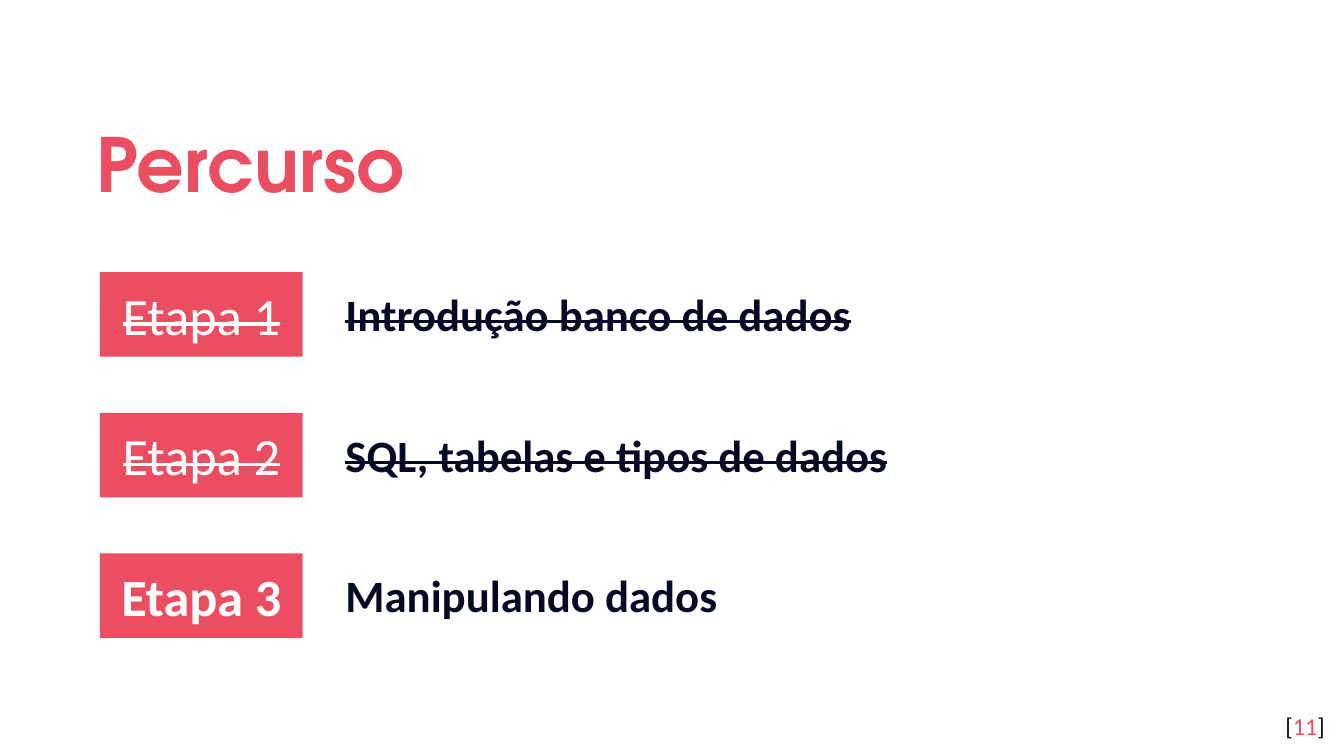
from pptx import Presentation
from pptx.dml.color import RGBColor
from pptx.enum import shapes, text
from pptx.util import Pt

CORAL = RGBColor(0xEA, 0x4E, 0x60)
NAVY = RGBColor(0x04, 0x0A, 0x24)
WHITE = RGBColor(0xFF, 0xFF, 0xFF)

STAGES = [
    ("Etapa 1", "Introdução banco de dados", True, 486),
    ("Etapa 2", "SQL, tabelas e tipos de dados", True, 511),
    ("Etapa 3", "Manipulando dados", False, 486),
]


def set_all(target, values):
    for name, value in values.items():
        setattr(target, name, value)


def set_frame(frame, vertical=7.2, anchor=text.MSO_ANCHOR.TOP):
    set_all(frame, {
        "word_wrap": True, "auto_size": text.MSO_AUTO_SIZE.NONE,
        "vertical_anchor": anchor,
        "margin_left": Pt(7.2), "margin_right": Pt(7.2),
        "margin_top": Pt(vertical), "margin_bottom": Pt(vertical),
    })


def add_words(paragraph, words, color, struck=False, **values):
    run = paragraph.add_run()
    run.text = words
    run.font.color.rgb = color
    set_all(run.font, values)
    if struck:
        run._r.get_or_add_rPr().set("strike", "sngStrike")


def place_heading(slide, left, top, width, height):
    heading = slide.shapes.title
    set_all(heading, {"left": Pt(left), "top": Pt(top),
                      "width": Pt(width), "height": Pt(height)})
    set_frame(heading.text_frame, anchor=text.MSO_ANCHOR.MIDDLE)
    line = heading.text_frame.paragraphs[0]
    set_all(line, {"alignment": text.PP_ALIGN.LEFT, "line_spacing": 1.15})
    add_words(line, "Percurso", CORAL, name="TeX Gyre Adventor",
              size=Pt(40), bold=True)


def place_tag(slide, left, top, width, height, stage, done):
    tag = slide.shapes.add_shape(shapes.MSO_SHAPE.RECTANGLE, Pt(left), Pt(top),
                                 Pt(width), Pt(height))
    tag.shadow.inherit = False
    tag.fill.solid()
    tag.fill.fore_color.rgb = CORAL
    tag.line.fill.background()
    set_frame(tag.text_frame, anchor=text.MSO_ANCHOR.MIDDLE)
    line = tag.text_frame.paragraphs[0]
    line.alignment = text.PP_ALIGN.CENTER
    add_words(line, stage, WHITE, done, name="Calibri", size=Pt(28), bold=not done)


def place_topic(slide, left, top, width, height, topic, done):
    right, bottom = left + width, top + height
    outline = slide.shapes.build_freeform(Pt(left), Pt(top))
    outline.add_line_segments([(Pt(right), Pt(top)), (Pt(right), Pt(bottom)),
                               (Pt(left), Pt(bottom))], close=True)
    subject = outline.convert_to_shape()
    subject.shadow.inherit = False
    subject.fill.background()
    subject.line.fill.background()
    set_frame(subject.text_frame, vertical=3.6)
    line = subject.text_frame.paragraphs[0]
    line.alignment = text.PP_ALIGN.LEFT
    hanging = line._p.get_or_add_pPr()
    hanging.set("marL", str(Pt(36)))
    hanging.set("indent", str(Pt(-36)))
    add_words(line, topic, NAVY, done, name="Calibri", size=Pt(24), bold=True)


def place_stages(slide, left, top, height):
    tag_height, topic_height, indent = 45.3, 36, 124.5
    pitch = (height - tag_height) / (len(STAGES) - 1)
    for index, (stage, topic, done, width) in enumerate(STAGES):
        row = top + index * pitch
        place_tag(slide, left, row, 108.7, tag_height, stage, done)
        place_topic(slide, left + indent, row + (tag_height - topic_height) / 2 - 0.3,
                    width, topic_height, topic, done)


def place_page_number(slide, left, top, width, height):
    page = slide.shapes.add_textbox(Pt(left), Pt(top), Pt(width), Pt(height))
    set_frame(page.text_frame)
    line = page.text_frame.paragraphs[0]
    line.alignment = text.PP_ALIGN.RIGHT
    for words, color in (("[", NAVY), ("11", CORAL), ("]", NAVY)):
        add_words(line, words, color, name="Calibri", size=Pt(13))


def main():
    deck = Presentation()
    set_all(deck, {"slide_width": Pt(720), "slide_height": Pt(405)})
    slide = deck.slides.add_slide(deck.slide_layouts[5])
    place_heading(slide, 44.6, 50.5, 583, 66)
    place_stages(slide, 53.5, 145.8, 196)
    place_page_number(slide, 673.8, 374, 43, 31)
    deck.save("out.pptx")


if __name__ == "__main__":
    main()
